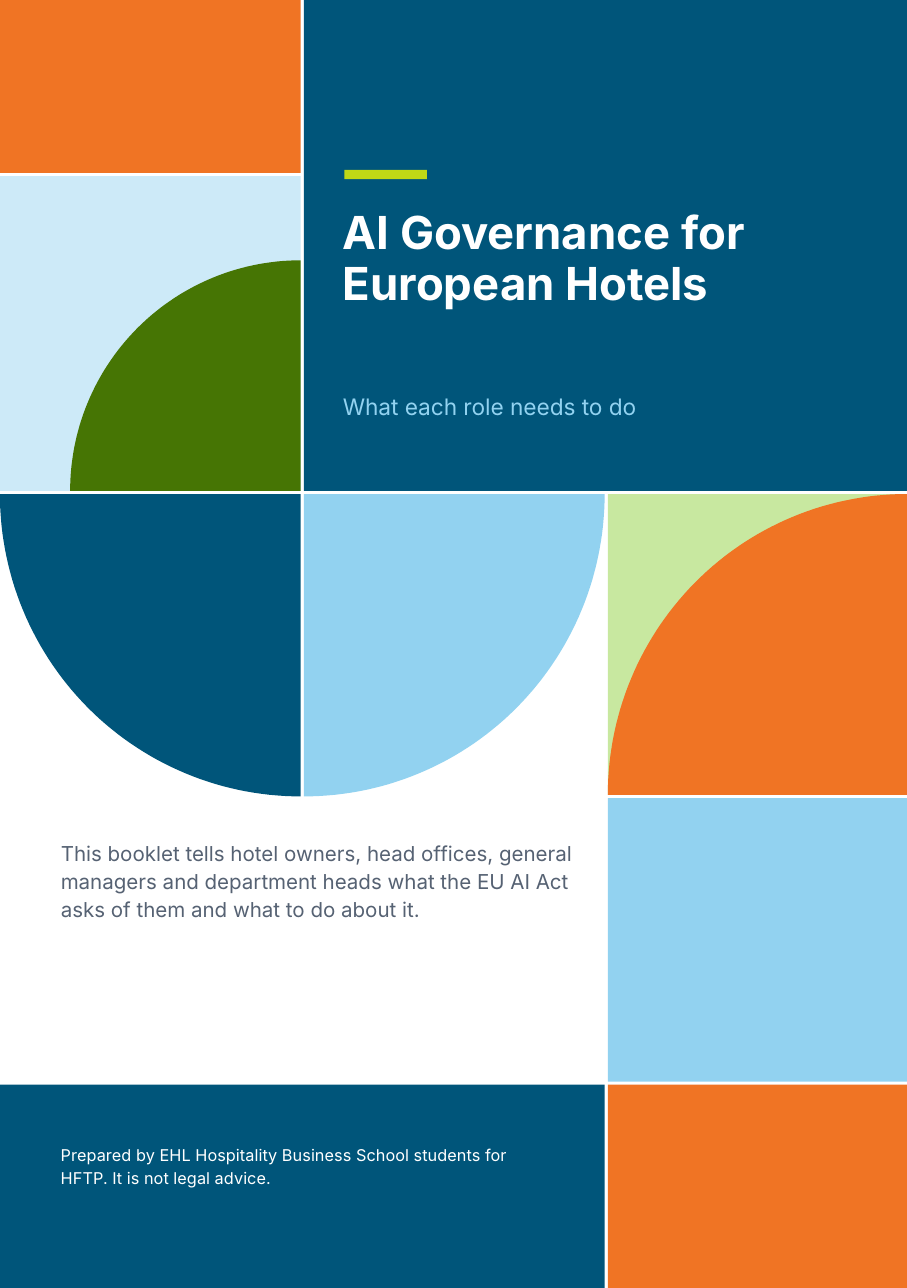
from dataclasses import dataclass
from math import cos, pi, sin

from pptx import Presentation
from pptx.dml.color import RGBColor
from pptx.enum.shapes import MSO_SHAPE
from pptx.util import Inches, Pt

RECTANGLE = MSO_SHAPE.RECTANGLE


@dataclass(frozen=True)
class Theme:
    font: str = "Inter"
    navy: str = "00557A"
    orange: str = "F07424"
    sky: str = "92D2F0"
    pale_sky: str = "CDEAF8"
    green: str = "467504"
    pale_green: str = "C8E8A0"
    lime: str = "BFD816"
    white: str = "FFFFFF"
    slate: str = "566273"
    title_size: float = 21
    subtitle_size: float = 10.5
    summary_size: float = 9.5
    credit_size: float = 7.5


theme = Theme()
# A5 page of 419 by 595 points
POINTS_PER_INCH = 72
WIDTH, HEIGHT = 419 / POINTS_PER_INCH, 595 / POINTS_PER_INCH
ARC_STEPS = 60

# Tile edges: three columns, with a thin white gap between neighbours
GAP = 0.02
LEFT_END, MIDDLE_END = 1.93, 3.88
MIDDLE, RIGHT = LEFT_END + GAP, MIDDLE_END + GAP
ORANGE_END, TOP_END, ARCH_END, SKY_END = 1.11, 3.15, 5.1, 6.94
ROW_TWO, ROW_THREE, FOOTER = TOP_END + GAP, ARCH_END + GAP, SKY_END + GAP
BOWL_HEIGHT = 1.94

presentation = Presentation()
presentation.slide_width = Inches(WIDTH)
presentation.slide_height = Inches(HEIGHT)
slide = presentation.slides.add_slide(presentation.slide_layouts[6])


def paint(shape, color):
    shape.shadow.inherit = False
    shape.fill.solid()
    shape.fill.fore_color.rgb = RGBColor.from_string(color)
    shape.line.fill.background()


def add_quarter(center_x, center_y, reach_x, reach_y, color):
    """Add a quarter ellipse; the signs of the reaches choose its quadrant."""
    angles = [pi / 2 * step / ARC_STEPS for step in range(ARC_STEPS + 1)]
    arc = [
        (Inches(center_x + reach_x * cos(angle)), Inches(center_y + reach_y * sin(angle)))
        for angle in angles
    ]
    builder = slide.shapes.build_freeform(Inches(center_x), Inches(center_y))
    builder.add_line_segments(arc, close=True)
    paint(builder.convert_to_shape(), color)


tiles = [  # left, top, right, bottom, color
    (0, 0, LEFT_END, ORANGE_END, theme.orange),
    (MIDDLE, 0, WIDTH, TOP_END, theme.navy),
    (0, ORANGE_END + GAP, LEFT_END, TOP_END, theme.pale_sky),
    (RIGHT, ROW_TWO, WIDTH, ARCH_END, theme.pale_green),
    (RIGHT, ROW_THREE, WIDTH, SKY_END, theme.sky),
    (0, FOOTER, MIDDLE_END, HEIGHT, theme.navy),
    (RIGHT, FOOTER, WIDTH, HEIGHT, theme.orange),
    (2.21, 1.09, 2.74, 1.15, theme.lime),
]
for left, top, right, bottom, color in tiles:
    tile = slide.shapes.add_shape(
        RECTANGLE, Inches(left), Inches(top), Inches(right - left), Inches(bottom - top)
    )
    paint(tile, color)

quarters = [  # center x, center y, reach x, reach y, color
    (LEFT_END, TOP_END, -1.48, -1.48, theme.green),
    (LEFT_END, ROW_TWO, -LEFT_END, BOWL_HEIGHT, theme.navy),
    (MIDDLE, ROW_TWO, MIDDLE_END - MIDDLE, BOWL_HEIGHT, theme.sky),
    (WIDTH, ARCH_END, RIGHT - WIDTH, ROW_TWO - ARCH_END, theme.orange),
]
for quarter in quarters:
    add_quarter(*quarter)

texts = [  # left, top, width, height, size, line spacing, color, bold, wording
    (2.2, 1.34, 2.66, 0.61, theme.title_size, 23.2, theme.white, True,
     "AI Governance for European Hotels"),
    (2.2, 2.49, 1.93, 0.17, theme.subtitle_size, 14.7, theme.sky, False,
     "What each role needs to do"),
    (0.39, 5.37, 3.35, 0.51, theme.summary_size, 13, theme.slate, False,
     "This booklet tells hotel owners, head offices, general managers and "
     "department heads what the EU AI Act asks of them and what to do about it."),
    (0.39, 7.33, 2.9, 0.28, theme.credit_size, 10.5, theme.white, False,
     "Prepared by EHL Hospitality Business School students for HFTP. "
     "It is not legal advice."),
]
for left, top, width, height, size, spacing, color, bold, wording in texts:
    box = slide.shapes.add_textbox(Inches(left), Inches(top), Inches(width), Inches(height))
    frame = box.text_frame
    frame.word_wrap = True
    frame.margin_left = frame.margin_right = frame.margin_top = frame.margin_bottom = 0
    paragraph = frame.paragraphs[0]
    paragraph.text = wording
    paragraph.line_spacing = Pt(spacing)
    paragraph.font.name = theme.font
    paragraph.font.size = Pt(size)
    paragraph.font.bold = bold
    paragraph.font.color.rgb = RGBColor.from_string(color)

presentation.save("out.pptx")
